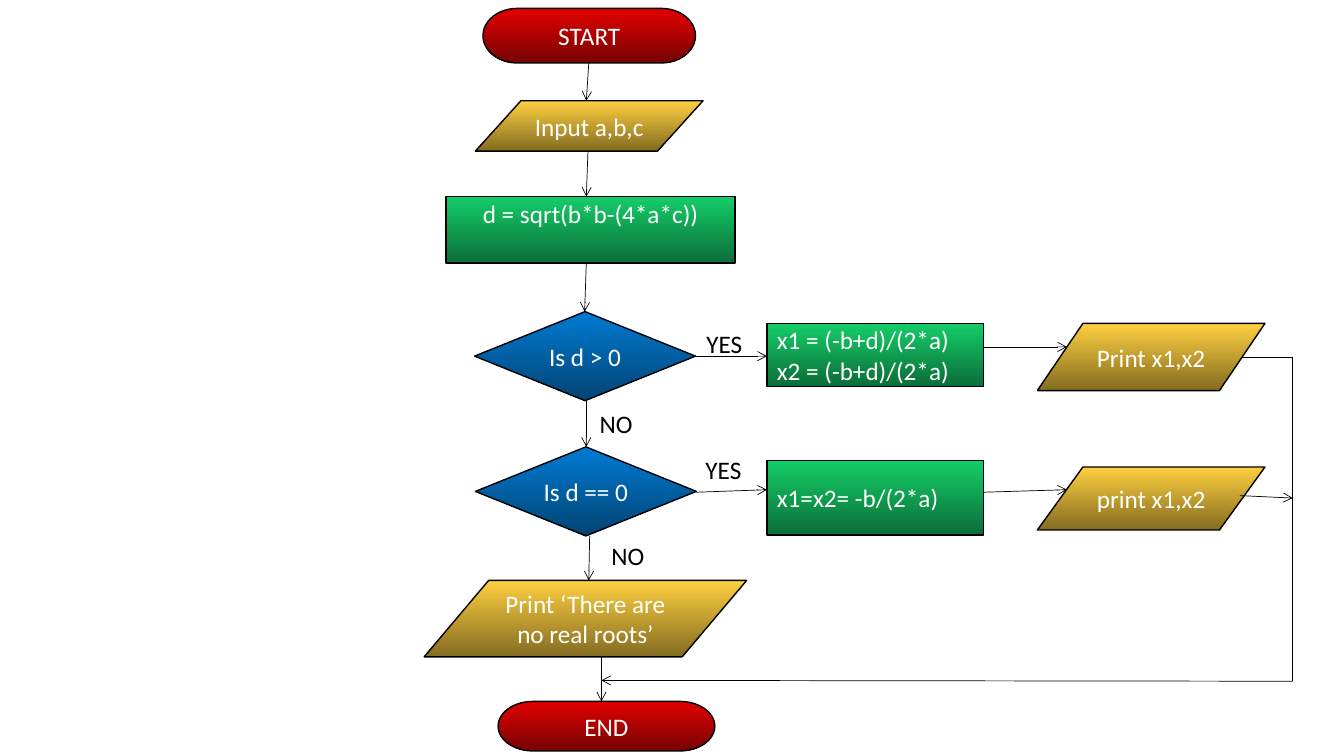
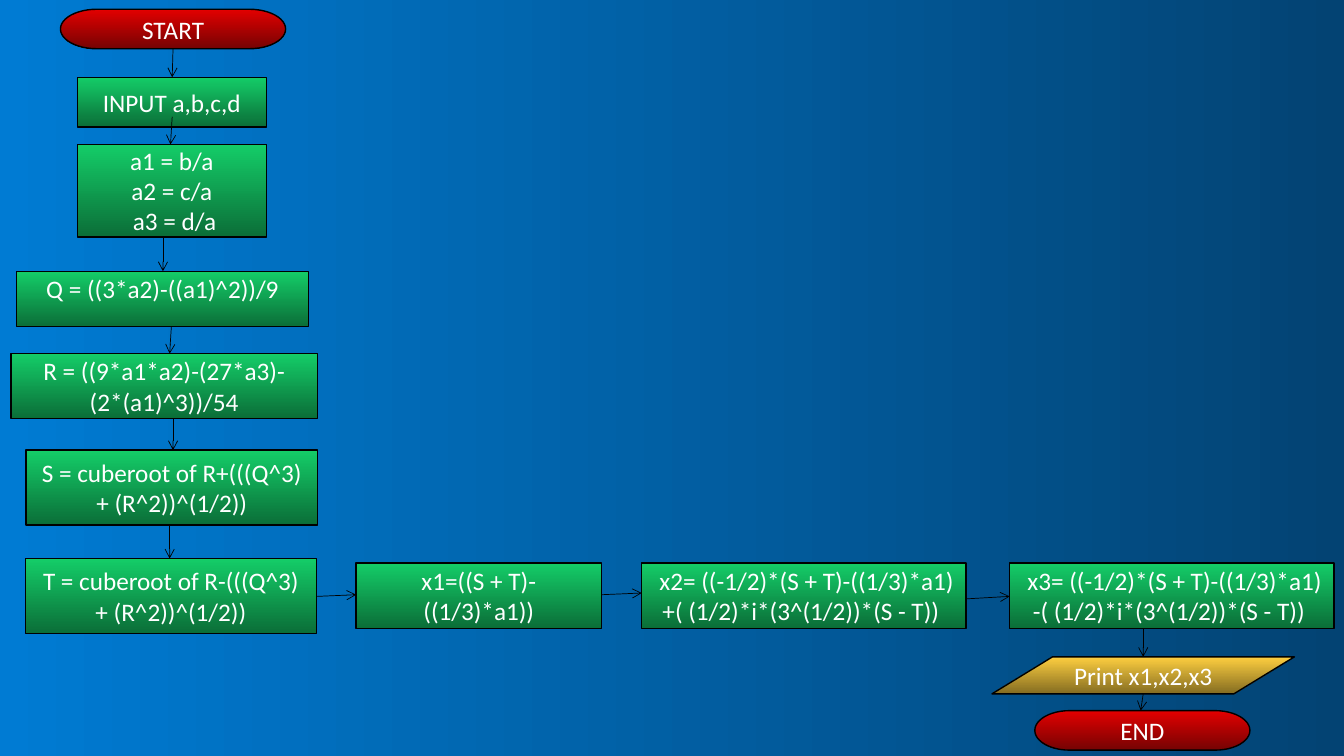
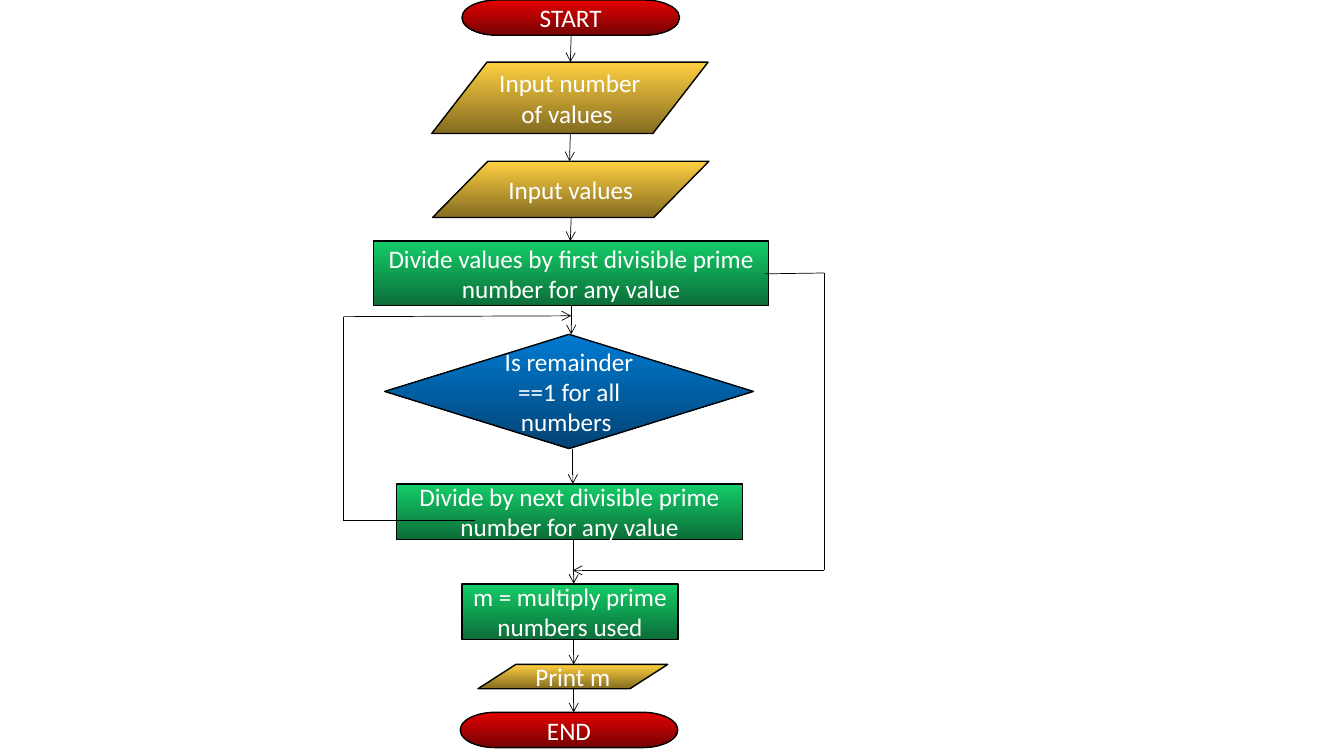
import collections

import lxml.etree
import pptx
import pptx.dml.color
import pptx.enum.shapes
import pptx.enum.text
import pptx.oxml.ns
import pptx.util

RGB = pptx.dml.color.RGBColor
SHAPE = pptx.enum.shapes.MSO_SHAPE
ANCHOR = pptx.enum.text.MSO_ANCHOR
ALIGN = pptx.enum.text.PP_ALIGN
qn = pptx.oxml.ns.qn

# Grid: 160 columns by 90 rows of square cells fill the slide
COLUMNS, ROWS = 160, 90
CELL = pptx.util.Inches(7.5) / ROWS

# Colours
BLACK = RGB(0x00, 0x00, 0x00)
WHITE = RGB(0xFF, 0xFF, 0xFF)
RED, DARK_RED = RGB(0xE3, 0x00, 0x00), RGB(0x76, 0x03, 0x03)
GOLD, DARK_GOLD = RGB(0xFE, 0xCF, 0x40), RGB(0x84, 0x6C, 0x21)
GREEN, DARK_GREEN = RGB(0x14, 0xCD, 0x68), RGB(0x0B, 0x6E, 0x38)
BLUE, DARK_BLUE = RGB(0x00, 0x7B, 0xD3), RGB(0x03, 0x43, 0x73)

# Roles in a flowchart: outline and gradient
Role = collections.namedtuple("Role", "outline light dark")
TERMINAL = Role(SHAPE.FLOWCHART_TERMINATOR, RED, DARK_RED)
DATA = Role(SHAPE.FLOWCHART_DATA, GOLD, DARK_GOLD)
PROCESS = Role(SHAPE.FLOWCHART_PROCESS, GREEN, DARK_GREEN)
DECISION = Role(SHAPE.FLOWCHART_DECISION, BLUE, DARK_BLUE)

# Shared formats
FONT = {"name": "Calibri", "size": pptx.util.Pt(18)}
MIDDLE = {"word_wrap": True, "vertical_anchor": ANCHOR.MIDDLE}
HIGH = {"word_wrap": True, "vertical_anchor": ANCHOR.TOP,
        "margin_top": pptx.util.Inches(0.02)}
LABEL = {"word_wrap": True, "vertical_anchor": ANCHOR.TOP}

Step = collections.namedtuple(
    "Step", "role text left top width height align frame",
    defaults=(ALIGN.CENTER, MIDDLE))


def cells(*counts):
    return [round(count * CELL) for count in counts]


def apply(target, formats):
    for name, value in formats.items():
        setattr(target, name, value)


def set_gradient(fill, light, dark, angle):
    fill.gradient()
    fill.gradient_angle = angle
    for stop, colour in zip(fill.gradient_stops, (light, dark)):
        stop.color.rgb = colour


def write(frame, text, colour, align, formats):
    frame.text = text
    apply(frame, formats)
    for paragraph in frame.paragraphs:
        paragraph.alignment = align
        for run in paragraph.runs:
            apply(run.font, FONT)
            run.font.color.rgb = colour


def set_line(line, points):
    line.color.rgb = BLACK
    line.width = pptx.util.Pt(points)


def draw_step(slide, step):
    box = slide.shapes.add_shape(
        step.role.outline,
        *cells(step.left, step.top, step.width, step.height))
    box.shadow.inherit = False
    set_gradient(box.fill, step.role.light, step.role.dark, 270)
    set_line(box.line, 1)
    write(box.text_frame, step.text, WHITE, step.align, step.frame)


def draw_label(slide, text, left, top, width):
    label = slide.shapes.add_textbox(*cells(left, top, width, 4.8))
    write(label.text_frame, text, BLACK, ALIGN.LEFT, LABEL)


def draw_route(slide, *points):
    """Join the points by lines; the last line ends in an arrowhead."""
    for start, end in zip(points, points[1:]):
        link = slide.shapes.add_connector(
            pptx.enum.shapes.MSO_CONNECTOR.STRAIGHT, *cells(*start, *end))
        set_line(link.line, 0.5)
        properties = link.element.spPr
        if end == points[-1]:
            lxml.etree.SubElement(properties.find(qn("a:ln")),
                                  qn("a:tailEnd"), type="arrow")
        lxml.etree.SubElement(properties, qn("a:effectLst"))


def link_down(slide, upper, lower, start_x, end_x, overlap=0):
    draw_route(slide, (start_x, upper.top + upper.height - overlap),
               (end_x, lower.top))


def link_across(slide, left, right, start_y, end_y):
    slant = 0.13 * right.width if right.role is DATA else 0
    draw_route(slide, (left.left + left.width, start_y),
               (right.left + slant, end_y))


def draw_chain(slide, steps, arrows):
    """Draw steps from top to bottom, and the arrows between them."""
    for step in steps:
        draw_step(slide, step)
    for upper, lower, arrow in zip(steps, steps[1:], arrows):
        link_down(slide, upper, lower, *arrow)


def draw_row(slide, first, steps, arrows):
    """Draw steps to the right of the first, and the arrows between them."""
    for step in steps:
        draw_step(slide, step)
    for left, right, arrow in zip([first] + steps, steps, arrows):
        link_across(slide, left, right, *arrow)


def quadratic_slide(slide):
    positive = Step(DECISION, "Is d > 0", 56.5, 37.1, 26.3, 10.6)
    zero = Step(DECISION, "Is d == 0", 56.6, 53.2, 26.3, 10.6)
    main_flow = [
        Step(TERMINAL, "START", 57.5, 1, 25.3, 6.5),
        Step(DATA, "Input a,b,c", 56.6, 12, 27.1, 6),
        Step(PROCESS, "d = sqrt(b*b-(4*a*c))", 53.1, 23.4, 34.4, 7.9,
             frame=HIGH),
        positive,
        zero,
        Step(DATA, "Print ‘There are no real roots’", 50.5, 69.1, 38.4, 9.1),
        Step(TERMINAL, "END", 59.3, 83.5, 25.8, 5.9),
    ]
    draw_chain(slide, main_flow, [
        (70.1, 69.8), (70, 69.8), (69.8, 69.6), (69.8, 69.8),
        (70.2, 70.1), (71.6, 71.6)])

    # Branches with real roots
    draw_row(slide, positive, [
        Step(PROCESS, "x1 = (-b+d)/(2*a)\nx2 = (-b+d)/(2*a)",
             91.3, 38.5, 25.8, 7.5, ALIGN.LEFT),
        Step(DATA, "Print x1,x2", 123.5, 38.5, 27.1, 8),
    ], [(42.4, 42.4), (41.3, 41.3)])
    draw_row(slide, zero, [
        Step(PROCESS, "x1=x2= -b/(2*a)", 91.3, 54.8, 25.8, 8.9, ALIGN.LEFT),
        Step(DATA, "print x1,x2", 123.5, 55.6, 27.1, 7.5),
    ], [(58.6, 58.3), (58.6, 58.3)])

    # Return to the end
    draw_route(slide, (147.8, 42.6), (153.9, 42.6), (153.9, 81.1), (71.6, 81))
    draw_route(slide, (147.6, 59), (153.9, 59.3))

    for answer in (("YES", 82.9, 38.5, 8.5), ("YES", 82.8, 53.5, 8.5),
                   ("NO", 70.2, 48, 7.1), ("NO", 71.6, 63.7, 7.1)):
        draw_label(slide, *answer)


def cubic_slide(slide):
    set_gradient(slide.background.fill, BLUE, DARK_BLUE, 0)
    sum_root = Step(PROCESS, "T = cuberoot of R-(((Q^3) + (R^2))^(1/2))",
                    3, 66.5, 34.7, 8.9)
    third_root = Step(
        PROCESS,
        " x3= ((-1/2)*(S + T)-((1/3)*a1) -( (1/2)*i*(3^(1/2))*(S - T)) ",
        120.2, 67, 38.6, 7.8)

    # Coefficients, down the left side
    draw_chain(slide, [
        Step(TERMINAL, "START", 7.2, 1.1, 26.8, 4.7),
        Step(PROCESS, "INPUT a,b,c,d", 9.2, 9.2, 22.5, 5.9),
        Step(PROCESS, "a1 = b/a\na2 = c/a\n a3 = d/a", 9.2, 17.2, 22.5, 11),
        Step(PROCESS, "Q = ((3*a2)-((a1)^2))/9", 2, 32.3, 34.7, 6.6,
             frame=HIGH),
        Step(PROCESS, "R = ((9*a1*a2)-(27*a3)-(2*(a1)^3))/54",
             1.3, 42.1, 36.5, 7.7),
        Step(PROCESS, "S = cuberoot of R+(((Q^3) + (R^2))^(1/2))",
             3.1, 53.6, 34.7, 8.9),
        sum_root,
    ], [(20.6, 20.5), (20.5, 20.3, 1.2), (19.4, 19.4), (20.4, 20.2),
        (20.6, 20.6), (20.2, 20.2)])

    # Roots, along the bottom
    draw_row(slide, sum_root, [
        Step(PROCESS, "x1=((S + T)-((1/3)*a1))", 42.4, 67, 29.2, 7.8),
        Step(PROCESS,
             " x2= ((-1/2)*(S + T)-((1/3)*a1) +( (1/2)*i*(3^(1/2))*(S - T)) ",
             76.4, 67, 38.6, 7.8),
        third_root,
    ], [(71, 70.8), (70.8, 70.6), (71.3, 71)])

    # Output
    output = [Step(DATA, "Print x1,x2,x3", 118.1, 78.2, 36, 4.4),
              Step(TERMINAL, "END", 123.2, 84.6, 25.6, 4.7)]
    draw_chain(slide, output, [(136.1, 135.8)])
    link_down(slide, third_root, output[0], 136.1, 136.1)


def multiple_slide(slide):
    draw_chain(slide, [
        Step(TERMINAL, "START", 55, 0, 25.9, 4.2),
        Step(DATA, "Input number of values ", 51.4, 7.4, 32.9, 8.5),
        Step(DATA, "Input values", 51.5, 19.2, 32.9, 6.7),
        Step(PROCESS,
             "Divide values by first divisible prime number for any value",
             44.5, 28.7, 47, 7.7),
        Step(DECISION, "Is remainder ==1 for all numbers ",
             45.8, 39.8, 43.9, 13.6),
        Step(PROCESS, "Divide by next divisible prime number for any value",
             47.2, 57.6, 41.2, 6.6),
        Step(PROCESS, "m = multiply prime numbers used",
             55, 69.5, 25.7, 6.6),
        Step(DATA, "Print m", 56.9, 79.1, 22.6, 2.9),
        Step(TERMINAL, "END", 54.8, 84.8, 25.9, 4.2),
    ], [(68, 67.9), (67.9, 67.8), (68, 67.9), (68, 68), (68.2, 68.2),
        (68.3, 68.3), (68.3, 68.3), (68.3, 68.3)])

    # Loop back, then the way past the loop
    draw_route(slide, (56.6, 62), (40.9, 62), (40.9, 37.7), (68, 37.6))
    draw_route(slide, (91.1, 32.6), (98.1, 32.5), (98.1, 67.9), (68.2, 67.9))


def main():
    deck = pptx.Presentation()
    deck.slide_width, deck.slide_height = cells(COLUMNS, ROWS)
    blank = deck.slide_layouts[6]
    for build in (quadratic_slide, cubic_slide, multiple_slide):
        build(deck.slides.add_slide(blank))
    deck.save("out.pptx")


if __name__ == "__main__":
    main()
